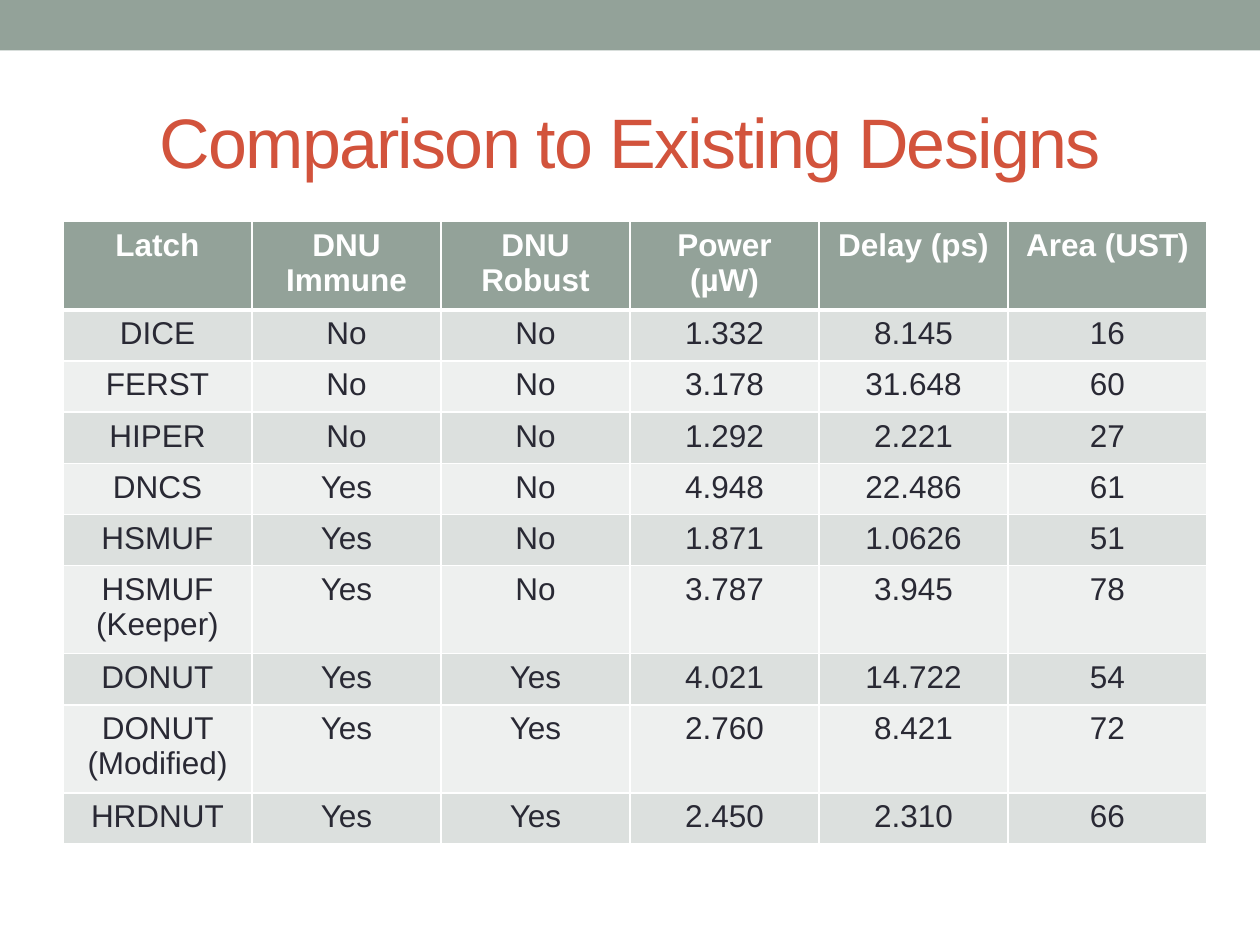
"""Build a slide comparing latch designs in a table."""
from lxml import etree
from pptx import Presentation
from pptx import util as u
from pptx.dml import color
from pptx.enum import shapes, text
from pptx.oxml import ns

TITLE = "Comparison to Existing Designs"
HEADINGS = ("Latch", "DNU Immune", "DNU Robust", "Power (µW)", "Delay (ps)", "Area (UST)")
LATCHES = [
    ("DICE", "No", "No", "1.332", "8.145", "16"),
    ("FERST", "No", "No", "3.178", "31.648", "60"),
    ("HIPER", "No", "No", "1.292", "2.221", "27"),
    ("DNCS", "Yes", "No", "4.948", "22.486", "61"),
    ("HSMUF", "Yes", "No", "1.871", "1.0626", "51"),
    ("HSMUF (Keeper)", "Yes", "No", "3.787", "3.945", "78"),
    ("DONUT", "Yes", "Yes", "4.021", "14.722", "54"),
    ("DONUT (Modified)", "Yes", "Yes", "2.760", "8.421", "72"),
    ("HRDNUT", "Yes", "Yes", "2.450", "2.310", "66"),
]
COLORS = {"sage": "93A299", "title": "D2533C", "ink": "292934", "white": "FFFFFF",
          "odd": "DCE0DE", "even": "EEF0EF"}
COLUMN_WIDTHS = [3.81] * 5 + [4.01]
ROW_HEIGHT = 1.03
TITLE_FONT = {"name": "Arial", "size": u.Pt(40), "bold": False}
HEADING_FONT = {"name": "Arial", "size": u.Pt(18), "bold": True}
VALUE_FONT = {**HEADING_FONT, "bold": False}


def rgb(key):
    return color.RGBColor.from_string(COLORS[key])


def paint(part, key):
    part.fill.solid()
    part.fill.fore_color.rgb = rgb(key)


def write(frame, wording, font_format, key):
    paragraph = frame.paragraphs[0]
    paragraph.alignment = text.PP_ALIGN.CENTER
    run = paragraph.add_run()
    run.text = wording
    for name, value in font_format.items():
        setattr(run.font, name, value)
    run.font.color.rgb = rgb(key)
    return run


def rule_cell(cell, top, bottom):
    properties = cell._tc.get_or_add_tcPr()
    for place, (side, points) in enumerate((("L", 1), ("R", 1), ("T", top), ("B", bottom))):
        line = etree.Element(ns.qn(f"a:ln{side}"), w=str(u.Pt(points)))
        fill = etree.SubElement(line, ns.qn("a:solidFill"))
        etree.SubElement(fill, ns.qn("a:srgbClr"), val=COLORS["white"])
        properties.insert(place, line)


def add_comparison(slide):
    rows = [HEADINGS, *LATCHES]
    table = slide.shapes.add_table(
        len(rows), len(HEADINGS), u.Cm(1.27), u.Cm(4.47),
        u.Cm(sum(COLUMN_WIDTHS)), u.Cm(ROW_HEIGHT * len(rows))).table
    for column, width in zip(table.columns, COLUMN_WIDTHS):
        column.width = u.Cm(width)
    for index, values in enumerate(rows):
        table.rows[index].height = u.Cm(ROW_HEIGHT)
        if index == 0:
            band, font_format, ink = "sage", HEADING_FONT, "white"
        else:
            band, font_format, ink = ("odd" if index % 2 else "even"), VALUE_FONT, "ink"
        for column, value in enumerate(values):
            cell = table.cell(index, column)
            paint(cell, band)
            rule_cell(cell, top=3 if index == 1 else 1, bottom=3 if index == 0 else 1)
            write(cell.text_frame, value, font_format, ink)


def main():
    deck = Presentation()
    deck.slide_width, deck.slide_height = u.Cm(25.4), u.Cm(19.05)
    slide = deck.slides.add_slide(deck.slide_layouts[6])

    banner = slide.shapes.add_shape(
        shapes.MSO_SHAPE.RECTANGLE, 0, 0, deck.slide_width, u.Cm(1.02))
    banner.shadow.inherit = False
    paint(banner, "sage")
    banner.line.fill.background()

    heading = slide.shapes.add_textbox(u.Cm(1.27), u.Cm(1.47), u.Cm(22.86), u.Cm(2.74))
    for name, value in {"word_wrap": True, "vertical_anchor": text.MSO_ANCHOR.MIDDLE}.items():
        setattr(heading.text_frame, name, value)
    title = write(heading.text_frame, TITLE, TITLE_FONT, "title")
    title.font._element.set("spc", "-100")

    add_comparison(slide)
    deck.save("out.pptx")


if __name__ == "__main__":
    main()
